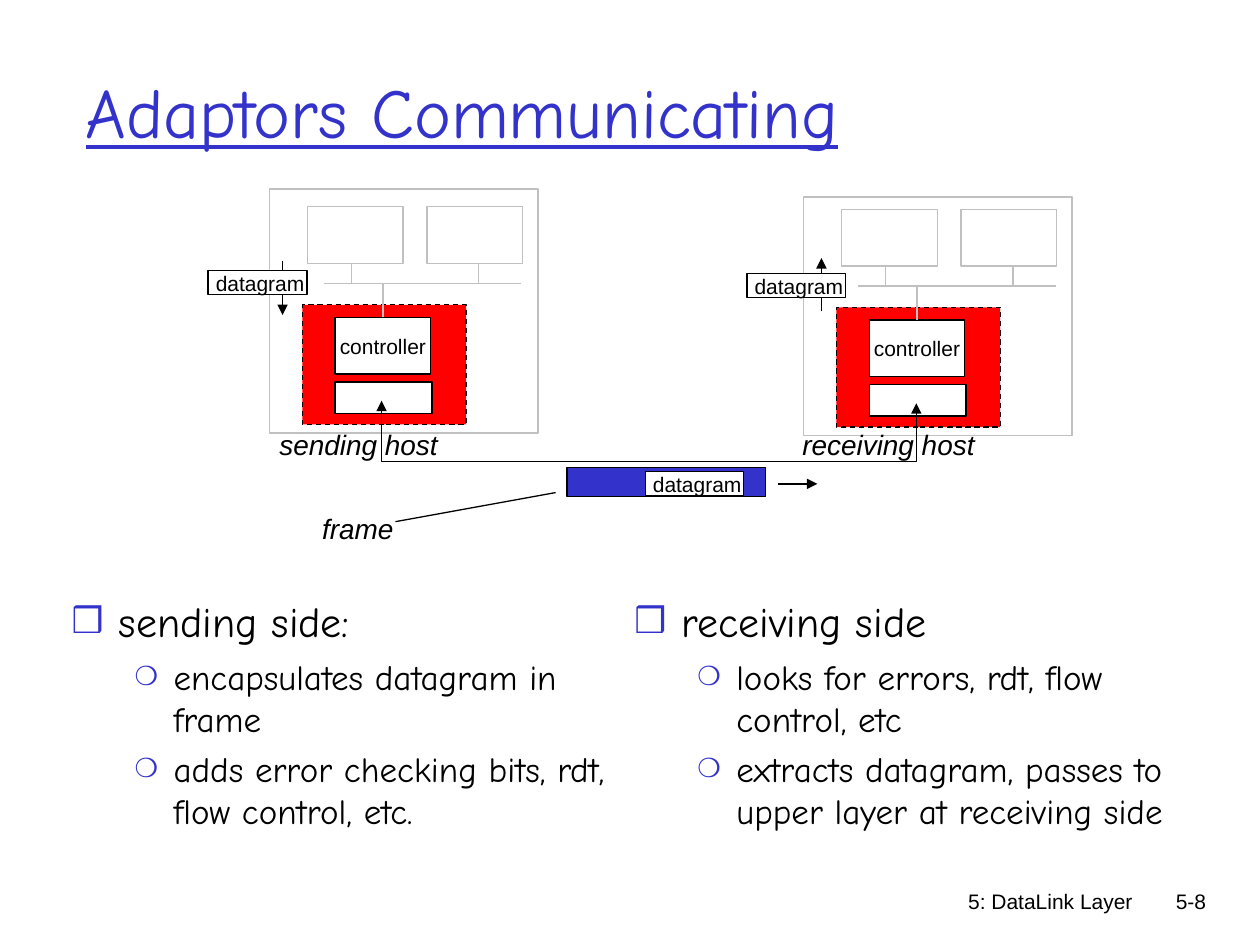
from lxml import etree
from pptx import Presentation
from pptx.dml.color import RGBColor
from pptx.enum.dml import MSO_LINE
from pptx.enum.shapes import MSO_CONNECTOR, MSO_SHAPE
from pptx.enum.text import MSO_ANCHOR, MSO_AUTO_SIZE, PP_ALIGN
from pptx.oxml.ns import qn
from pptx.util import Pt

RECTANGLE = MSO_SHAPE.RECTANGLE
STRAIGHT = MSO_CONNECTOR.STRAIGHT
DASH = MSO_LINE.DASH
TOP, MIDDLE = MSO_ANCHOR.TOP, MSO_ANCHOR.MIDDLE
LEFT, CENTER, RIGHT = PP_ALIGN.LEFT, PP_ALIGN.CENTER, PP_ALIGN.RIGHT
NO_AUTO_SIZE = MSO_AUTO_SIZE.NONE

BLUE = RGBColor(0x33, 0x33, 0xCC)
RED = RGBColor(0xFF, 0x00, 0x00)
GRAY = RGBColor(0xC0, 0xC0, 0xC0)
WHITE = RGBColor(0xFF, 0xFF, 0xFF)
BLACK = RGBColor(0x00, 0x00, 0x00)

LABEL_FONT, TEXT_FONT = "Arial", "Comic Neue"
LINE_WIDTH = 0.75
MODULE_SIZE = (54.7, 32.4)
# Per outline level: character, size in percent, left margin, hanging indent, text size
BULLETS = [("❒", 85, 27, 27, 24), ("❍", 75, 58.32, 22.32, 20)]


# Shared helpers
def format_paragraph(paragraph, size, font=LABEL_FONT, color=BLACK, align=LEFT,
                     italic=None, underline=None):
    paragraph.alignment = align
    for run in paragraph.runs:
        run.font.name = font
        run.font.size = Pt(size)
        run.font.color.rgb = color
        run.font.italic = italic
        run.font.underline = underline


def add_rectangle(slide, box, fill, line):
    shape = slide.shapes.add_shape(RECTANGLE, *map(Pt, box))
    shape.shadow.inherit = False
    shape.fill.solid()
    shape.fill.fore_color.rgb = fill
    shape.line.color.rgb = line
    shape.line.width = Pt(LINE_WIDTH)
    return shape


def add_text(slide, box, text, size, **formatting):
    text_box = slide.shapes.add_textbox(*map(Pt, box))
    text_box.text_frame.word_wrap = True
    text_box.text_frame.text = text
    format_paragraph(text_box.text_frame.paragraphs[0], size, **formatting)


def add_arrowheads(shape, *ends):
    line = shape.line._get_or_add_ln()
    for end in ends:
        etree.SubElement(line, qn(f"a:{end}"), type="triangle")


def add_line(slide, start, end, color=BLACK, arrow=False):
    connector = slide.shapes.add_connector(STRAIGHT, *map(Pt, start + end))
    connector.line.color.rgb = color
    connector.line.width = Pt(LINE_WIDTH)
    etree.SubElement(connector._element.spPr, qn("a:effectLst"))
    if arrow:
        add_arrowheads(connector, "tailEnd")
    return connector


def set_bullet(paragraph, level):
    character, percent, margin, indent, _ = BULLETS[level]
    properties = paragraph._p.get_or_add_pPr()
    properties.set("marL", str(Pt(margin)))
    properties.set("indent", str(-Pt(indent)))
    color = etree.SubElement(properties, qn("a:buClr"))
    etree.SubElement(color, qn("a:srgbClr"), val=str(BLUE))
    etree.SubElement(properties, qn("a:buSzPct"), val=str(percent * 1000))
    etree.SubElement(properties, qn("a:buFont"), typeface=LABEL_FONT)
    etree.SubElement(properties, qn("a:buChar"), char=character)


# Regions
def place_title(slide, box, text):
    title = slide.shapes.title
    title.left, title.top, title.width, title.height = map(Pt, box)
    frame = title.text_frame
    frame.text = text
    frame.auto_size = NO_AUTO_SIZE
    frame.vertical_anchor = MIDDLE
    format_paragraph(frame.paragraphs[0], 40, TEXT_FONT, BLUE, underline=True)


def add_host(slide, box):
    left, top, width, height = box
    bottom = top + height
    add_rectangle(slide, box, WHITE, GRAY)

    # Adaptor with its controller and line interface
    adaptor = add_rectangle(slide, (left + 18.8, bottom - 73.3, 93.6, 68.4), RED, BLACK)
    adaptor.line.dash_style = DASH
    add_rectangle(slide, (left + 37.5, bottom - 29.3, 55.4, 18), WHITE, BLACK)
    controller_top = bottom - 66.1
    controller = add_rectangle(
        slide, (left + 37.5, controller_top, *MODULE_SIZE), WHITE, BLACK)
    frame = controller.text_frame
    frame.word_wrap = False
    frame.vertical_anchor = MIDDLE
    frame.text = "controller"
    format_paragraph(frame.paragraphs[0], 12, align=CENTER)

    # Bus that joins the controller to the two upper modules
    bus = bottom - 85.5
    add_line(slide, (left + 31, bus), (left + 144, bus), GRAY)
    stem_x = left + 37.5 + MODULE_SIZE[0] / 2
    stem = add_line(slide, (stem_x, controller_top), (stem_x, bus), GRAY)
    stem.begin_connect(controller, 0)
    module_top = bottom - 129.4
    for module_offset, drop_offset in ((21.7, 46.9), (90, 119.6)):
        add_rectangle(slide, (left + module_offset, module_top, *MODULE_SIZE), WHITE, GRAY)
        drop_x = left + drop_offset
        add_line(slide, (drop_x, bus), (drop_x, module_top + MODULE_SIZE[1]), GRAY)


def add_datagram(slide, box):
    frame = add_rectangle(slide, box, WHITE, BLACK).text_frame
    frame.margin_left = Pt(4.4)
    frame.margin_top = frame.margin_right = frame.margin_bottom = 0
    frame.word_wrap = False
    frame.vertical_anchor = TOP
    frame.text = "datagram"
    format_paragraph(frame.paragraphs[0], 12)


def add_link(slide, box):
    left, top, width, height = box
    right, bottom = left + width, top + height
    builder = slide.shapes.build_freeform(Pt(left), Pt(top))
    corners = [(left, bottom), (right, bottom), (right, top + 1.5)]
    builder.add_line_segments([(Pt(x), Pt(y)) for x, y in corners], close=False)
    link = builder.convert_to_shape()
    link.shadow.inherit = False
    link.fill.background()
    link.line.color.rgb = BLACK
    link.line.width = Pt(LINE_WIDTH)
    add_arrowheads(link, "headEnd", "tailEnd")


def add_frame(slide, box):
    left, top, width, height = box
    add_rectangle(slide, box, BLUE, BLACK)
    add_datagram(slide, (left + 44.7, top + 2.2, 56.4, 13.7))
    middle = top + 9.4
    add_line(slide, (left + width + 7.2, middle), (left + width + 29.5, middle), arrow=True)
    add_text(slide, (left - 147, top + 21.6, 60, 26.6), "frame", 16, italic=True)
    add_line(slide, (left - 98, top + 31), (left - 6.5, top + 14.4))


def add_outline(slide, box, items):
    frame = slide.shapes.add_textbox(*map(Pt, box)).text_frame
    frame.word_wrap = True
    for index, text in enumerate(items):
        level = min(index, 1)
        paragraph = frame.add_paragraph() if index else frame.paragraphs[0]
        paragraph.text = text
        paragraph.level = level
        set_bullet(paragraph, level)
        if index:
            paragraph.space_before = Pt(5)
        format_paragraph(paragraph, BULLETS[level][-1], TEXT_FONT)


def main():
    presentation = Presentation()
    presentation.slide_width, presentation.slide_height = Pt(720), Pt(540)
    slide = presentation.slides.add_slide(presentation.slide_layouts[5])
    place_title(slide, (41.8, 18, 612, 90), "Adaptors Communicating")

    # Hosts, with the datagram going down on one side and up on the other
    add_host(slide, (154, 108, 153.4, 139.5))
    add_host(slide, (459.2, 112.5, 153.4, 136.5))
    add_text(slide, (152.6, 240.8, 112, 26.6), "sending host", 16, italic=True)
    add_text(slide, (451.4, 240.8, 120, 26.6), "receiving host", 16, italic=True)
    add_line(slide, (161.5, 149), (161.5, 180), arrow=True)
    add_datagram(slide, (118.9, 154.6, 56.6, 13.7))
    add_line(slide, (469.4, 178), (469.4, 147.5), arrow=True)
    add_datagram(slide, (426.8, 156.2, 56.4, 13.7))

    # Link and the frame that travels on it
    add_link(slide, (218, 229, 305.6, 34.8))
    add_frame(slide, (324, 267.1, 113.6, 16.8))

    # Explanations
    add_outline(slide, (33.8, 337, 320.4, 152.6), [
        "sending side:",
        "encapsulates datagram in frame",
        "adds error checking bits, rdt, flow control, etc."])
    add_outline(slide, (355.4, 337, 321.8, 145.4), [
        "receiving side",
        "looks for errors, rdt, flow control, etc",
        "extracts datagram, passes to upper layer at receiving side"])

    # Footer
    add_text(slide, (426.2, 504, 228.2, 36), "5: DataLink Layer", 12, align=RIGHT)
    add_text(slide, (643, 504, 53.3, 36), "5-8", 12, align=RIGHT)
    presentation.save("out.pptx")


if __name__ == "__main__":
    main()
